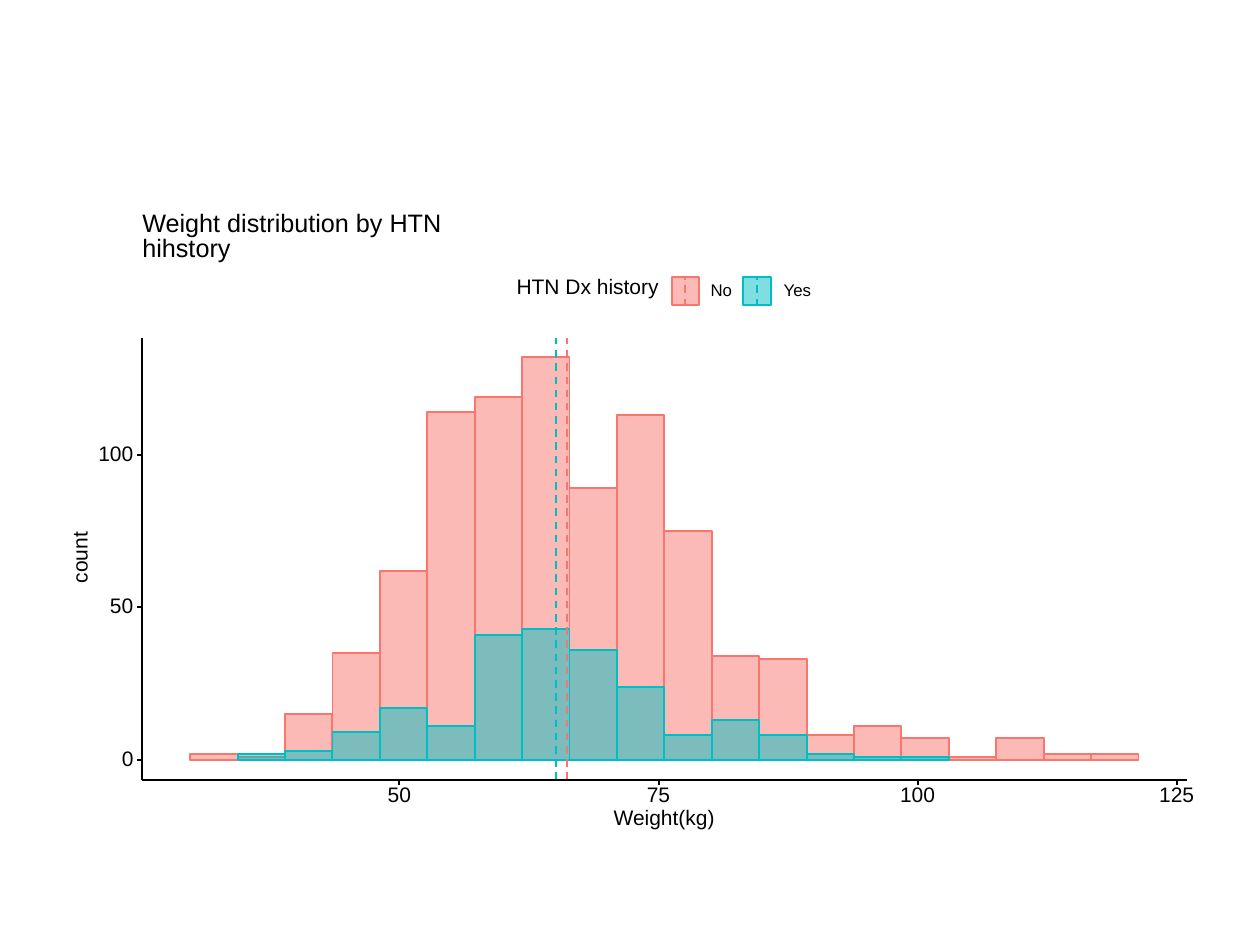
from pptx import Presentation
from pptx.dml.color import RGBColor
from pptx.enum.dml import MSO_LINE_DASH_STYLE as Dash
from pptx.enum.shapes import MSO_CONNECTOR_TYPE as Connector, MSO_SHAPE as Shape
from pptx.enum.text import MSO_ANCHOR as Anchor
from pptx.oxml.ns import qn
from pptx.util import Inches, Pt
from lxml.etree import SubElement

COLORS = {"No": "F8766D", "Yes": "00BFC4", "ink": "000000", "paper": "FFFFFF"}
COUNTS = {
    "No": [2, 1, 15, 35, 62, 114, 119, 132, 89, 113,
           75, 34, 33, 8, 11, 7, 1, 7, 2, 2],
    "Yes": [0, 2, 3, 9, 17, 11, 41, 43, 36, 24,
            8, 13, 8, 2, 1, 1, 0, 0, 0, 0],
}
MEANS = {"No": 4.5, "Yes": 4.41}
KEYS = {"No": (5.33, 5.64, 0.17), "Yes": (5.9, 6.22, 0.23)}
LEFT, TOP, RIGHT, BOTTOM = 1.13, 2.68, 9.42, 6.19
BASELINE = 6.03
COUNT_UNIT = 2.42 / 100
FIRST_BIN, BIN_WIDTH = 1.51, 7.15 / 19
WEIGHT_50, WEIGHT_UNIT = 3.17, 6.17 / 75
DIGIT_WIDTH = 0.28 / 3
TICK = 0.04


class HistogramPage:
    font = "Arial"
    thin, thick = 1.07, 1.16

    def __init__(self, page):
        self.page = page

    def color(self, name):
        return RGBColor.from_string(COLORS[name])

    def box(self, left, top, width, height, fill, line=None, alpha=None, weight=thin):
        box = self.page.shapes.add_shape(
            Shape.RECTANGLE, Inches(left), Inches(top), Inches(width), Inches(height))
        box.shadow.inherit = False
        box.fill.solid()
        box.fill.fore_color.rgb = self.color(fill)
        if alpha:
            tint = box.fill._xPr.find(qn("a:solidFill"))[0]
            SubElement(tint, qn("a:alpha")).set("val", str(alpha * 1000))
        if line:
            box.line.color.rgb = self.color(line)
            box.line.width = Pt(weight)
        else:
            box.line.fill.background()

    def bar(self, left, top, width, height, group):
        self.box(left, top, width, height, group, group, 50)

    def line(self, x1, y1, x2, y2, color="ink", weight=thin, dashed=False):
        line = self.page.shapes.add_connector(
            Connector.STRAIGHT, Inches(x1), Inches(y1), Inches(x2), Inches(y2))
        line.line.color.rgb = self.color(color)
        line.line.width = Pt(weight)
        if dashed:
            line.line.dash_style = Dash.DASH
        SubElement(line._element.spPr, qn("a:effectLst"))

    def text(self, words, left, top, width, height, size=12, rotation=0):
        box = self.page.shapes.add_textbox(
            Inches(left), Inches(top), Inches(width), Inches(height))
        box.rotation = rotation
        frame = box.text_frame
        frame.word_wrap = False
        frame.vertical_anchor = Anchor.MIDDLE
        frame.margin_left = frame.margin_right = 0
        frame.margin_top = frame.margin_bottom = 0
        frame.text = words
        para = frame.paragraphs[0]
        para.line_spacing = Pt(size)
        span = para.runs[0]
        span.font.name = self.font
        span.font.size = Pt(size)
        span.font.color.rgb = self.color("ink")

    def bars(self, group):
        for index, count in enumerate(COUNTS[group]):
            if count:
                height = count * COUNT_UNIT
                self.bar(FIRST_BIN + index * BIN_WIDTH, BASELINE - height,
                         BIN_WIDTH, height, group)

    def count_axis(self):
        self.line(LEFT, BOTTOM, LEFT, TOP)
        for count in (0, 50, 100):
            label = str(count)
            y = BASELINE - count * COUNT_UNIT
            width = len(label) * DIGIT_WIDTH
            self.text(label, 1.06 - width, y - 0.06, width, 0.12)
            self.line(LEFT - TICK, y, LEFT, y, weight=self.thick)
        self.text("count", 0.44, 4.37, 0.41, 0.11, rotation=270)

    def weight_axis(self):
        self.line(LEFT, BOTTOM, RIGHT, BOTTOM)
        for weight in (50, 75, 100, 125):
            label = str(weight)
            x = WEIGHT_50 + (weight - 50) * WEIGHT_UNIT
            width = len(label) * DIGIT_WIDTH
            self.line(x, BOTTOM + TICK, x, BOTTOM, weight=self.thick)
            self.text(label, x - width / 2, 6.26, width, 0.12)
        self.text("Weight(kg)", 4.87, 6.42, 0.81, 0.16)

    def legend(self):
        self.box(4.02, 2.1, 2.51, 0.41, "paper")
        self.text("HTN Dx history", 4.1, 2.21, 1.13, 0.16)
        for group, (key_left, label_left, label_width) in KEYS.items():
            middle = key_left + 0.11
            self.bar(key_left, 2.2, 0.22, 0.22, group)
            self.line(middle, 2.43, middle, 2.19, group, dashed=True)
            self.text(group, label_left, 2.26, label_width, 0.1, size=9.6)


def main():
    deck = Presentation()
    deck.slide_width, deck.slide_height = Inches(10), Inches(7.5)
    histogram = HistogramPage(deck.slides.add_slide(deck.slide_layouts[6]))
    histogram.box(0.5, 1.75, 9, 4.95, "paper", "paper", weight=histogram.thick)
    histogram.box(LEFT, TOP, RIGHT - LEFT, BOTTOM - TOP, "paper")
    for group in COUNTS:
        histogram.bars(group)
    for group, x in MEANS.items():
        histogram.line(x, BOTTOM, x, TOP, group, dashed=True)
    histogram.count_axis()
    histogram.weight_axis()
    histogram.legend()
    histogram.text("Weight distribution by HTN hihstory", LEFT, 1.79, 3.13, 0.19, size=14.4)
    deck.save("out.pptx")


if __name__ == "__main__":
    main()
